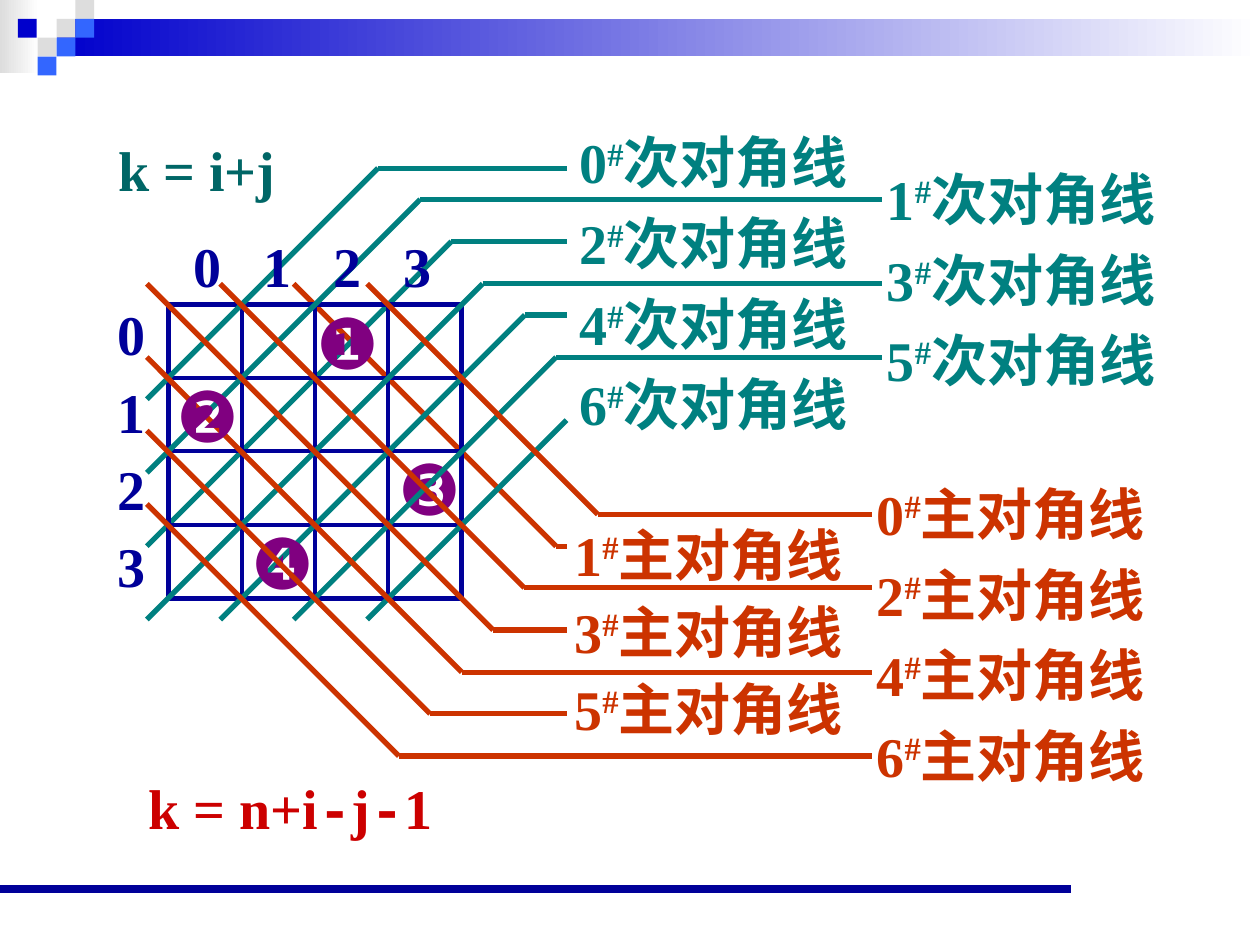
from lxml import etree
from pptx import Presentation
from pptx.dml.color import RGBColor
from pptx.enum.shapes import MSO_CONNECTOR, MSO_SHAPE
from pptx.enum.text import MSO_AUTO_SIZE, PP_ALIGN
from pptx.oxml.ns import qn
from pptx.util import Cm, Pt

STRAIGHT = MSO_CONNECTOR.STRAIGHT
RECT = MSO_SHAPE.RECTANGLE
GROW = MSO_AUTO_SIZE.SHAPE_TO_FIT_TEXT
LEFT = PP_ALIGN.LEFT

INK = {"navy": "000099", "blue": "0000CC", "sky": "3366FF", "grey": "DDDDDD",
       "white": "FFFFFF", "teal": "008080", "pine": "006666",
       "rust": "CC3300", "red": "CC0000", "plum": "800080"}
SERIF, MONO, SANS = "Times New Roman", "Courier New", "Arial"

deck = Presentation()
deck.slide_width, deck.slide_height = Cm(25.4), Cm(19.05)
slide = deck.slides.add_slide(deck.slide_layouts[6])
shapes = slide.shapes


def draw(x1, y1, x2, y2, ink, width=3):
    line = shapes.add_connector(STRAIGHT, Cm(x1), Cm(y1), Cm(x2), Cm(y2))
    line.line.color.rgb = RGBColor.from_string(INK[ink])
    line.line.width = Pt(width)
    etree.SubElement(line._element.spPr, qn("a:effectLst"))


def write(box, rows, ink, size=32, lead=1.0, bold=True, tabs=()):
    """Each row is a list of (text, font, baseline) runs."""
    frame = shapes.add_textbox(*map(Cm, box)).text_frame
    frame.word_wrap = bool(tabs)
    frame.auto_size = GROW
    for i, row in enumerate(rows):
        para = frame.paragraphs[0] if i == 0 else frame.add_paragraph()
        para.alignment = LEFT
        para.line_spacing = Pt(1.2 * size * lead)
        if tabs:
            stops = etree.SubElement(para._p.get_or_add_pPr(), qn("a:tabLst"))
            for stop in tabs:
                etree.SubElement(stops, qn("a:tab"), pos=str(Cm(stop)), algn="l")
        for text, face, base in row:
            run = para.add_run()
            run.text = text
            style = {"name": face, "size": Pt(size), "bold": bold}
            for key, value in style.items():
                setattr(run.font, key, value)
            run.font.color.rgb = RGBColor.from_string(INK[ink])
            if base:
                run._r.get_or_add_rPr().set("baseline", str(base))


# Banner: two fades, then small squares
UNIT = 0.38
blocks = [(0, 0, 0.79, 1.47, ["grey", "white"]),
          (1.14, UNIT, 24.26, 2 * UNIT, ["blue", "white"]),
          (0.36, UNIT, UNIT, UNIT, ["blue"])]
for col, row, ink in [(1, 1, "grey"), (2, 0, "grey"), (2, 1, "sky"),
                      (0, 2, "grey"), (1, 2, "sky"), (0, 3, "sky")]:
    blocks.append((0.76 + col * UNIT, row * UNIT, UNIT, UNIT, [ink]))
for *box, inks in blocks:
    block = shapes.add_shape(RECT, *map(Cm, box))
    block.shadow.inherit = False
    block.line.fill.background()
    if len(inks) == 1:
        block.fill.solid()
        block.fill.fore_color.rgb = RGBColor.from_string(INK[inks[0]])
    else:
        block.fill.gradient()
        block.fill.gradient_angle = 0
        for stop, ink, place in zip(block.fill.gradient_stops, inks, (0, 1)):
            stop.color.rgb = RGBColor.from_string(INK[ink])
            stop.position = place

# Footer rule
draw(0, 17.93, 21.59, 17.93, "navy", 4.5)

# Board measures, and the height at which each diagonal bends
X, Y, CELL = 3.39, 6.14, 1.48
WEST, NORTH, SOUTH = 2.96, 5.72, 12.49
RISE = [3.39, 4.02, 4.87, 5.72, 6.35, 7.2, 8.47]
FALL = [10.37, 11.01, 11.85, 12.7, 13.55, 14.39, 15.24]
NEAR = 11.43

# Layers from back to front: diagonals, grid and queens
layers = [("main", 1), ("anti", 2), ("grid", 0), ("queen", 1), ("queen", 3),
          *[("anti", k) for k in (0, 1, 3, 4, 5, 6)],
          *[("main", k) for k in (0, 2, 4, 6)],
          ("queen", 4), ("main", 3), ("main", 5), ("queen", 2)]
QUEENS = {1: ("❶", 6.14, 5.91), 2: ("❷", 3.3, 7.39),
          3: ("❸", 7.79, 8.86), 4: ("❹", 4.83, 10.34)}
for kind, k in layers:
    if kind == "grid":
        for i in range(5):
            width = 3 if i in (0, 4) else 2.25
            step, side = i * CELL, 4 * CELL
            draw(X, Y + step, X + side, Y + step, "navy", width)
            draw(X + step, Y, X + step, Y + side, "navy", width)
    elif kind == "queen":
        mark, x, y = QUEENS[k]
        write((x, y, 1.78, 1.96), [[(mark, SANS, 0)]], "plum", 40, bold=False)
    elif kind == "anti":
        x = WEST + CELL * max(k - 3, 0)
        y = SOUTH - CELL * max(3 - k, 0)
        bend = x + y - RISE[k]
        draw(x, y, bend, RISE[k], "teal")
        if k < 6:
            draw(bend, RISE[k], 17.78 if k % 2 else NEAR, RISE[k], "teal")
    else:
        x = WEST + CELL * max(3 - k, 0)
        y = NORTH + CELL * max(k - 3, 0)
        bend = x + FALL[k] - y
        draw(x, y, bend, FALL[k], "rust")
        draw(bend, FALL[k], NEAR if k % 2 else 17.57, FALL[k], "rust")

# Names of the diagonals
for x, y, high, word, ids, ink, lead in [
        (11.43, 2.18, 6.76, "次对角线", (0, 2, 4, 6), "teal", 1.2),
        (17.63, 2.92, 5.13, "次对角线", (1, 3, 5), "teal", 1.2),
        (17.42, 9.27, 6.76, "主对角线", (0, 2, 4, 6), "rust", 1.2),
        (11.33, 10.16, 4.93, "主对角线", (1, 3, 5), "rust", 1.15)]:
    rows = [[(str(k), SERIF, 0), ("#", SERIF, 30000), (word, SERIF, 0)]
            for k in ids]
    write((x, y, 6.48, high), rows, ink, lead=lead)

# Column and row numbers
write((3.66, 4.54, 5.87, 1.63), [[("0\t1\t2\t3", SERIF, 0)]], "navy",
      tabs=[1.41 * i for i in (1, 2, 3)])
write((2.12, 5.72, 1.07, 6.5), [[(d, SERIF, 0)] for d in "0123"], "navy",
      lead=1.15)

# Formulas
write((2.13, 2.61, 3.68, 1.63), [[("k = i+j", SERIF, 0)]], "pine")
write((2.74, 15.47, 6.6, 1.63),
      [[("k = n+i", SERIF, 0), ("-", MONO, 0), ("j", SERIF, 0),
        ("-", MONO, 0), ("1", SERIF, 0)]], "red")

deck.save("out.pptx")
